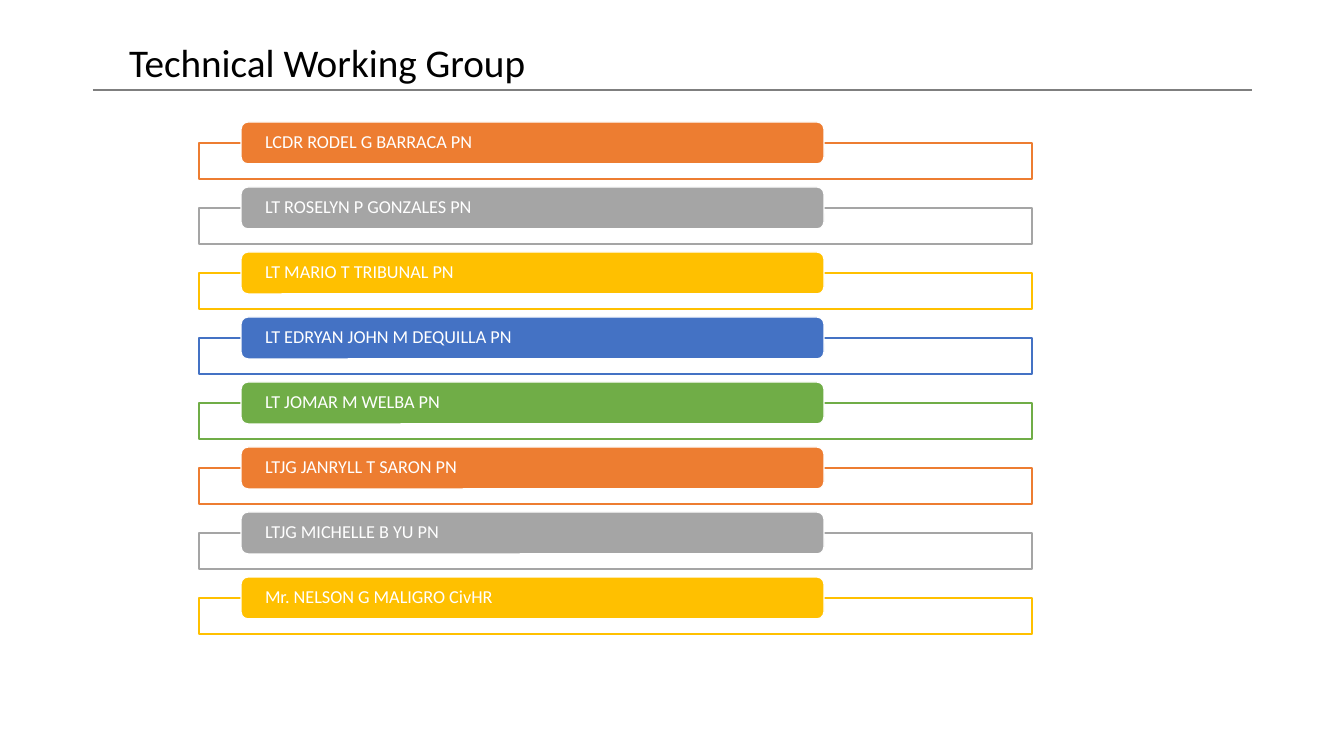
from pptx import Presentation
from pptx.dml.color import RGBColor
from pptx.enum.shapes import MSO_CONNECTOR, MSO_SHAPE
from pptx.enum.text import MSO_ANCHOR, MSO_AUTO_SIZE, PP_ALIGN
from pptx.oxml.ns import qn
from pptx.util import Pt
from lxml.etree import SubElement

TITLE = "Technical Working Group"
MEMBERS = [
    "LCDR RODEL G BARRACA PN",
    "LT ROSELYN P GONZALES PN",
    "LT MARIO T TRIBUNAL PN",
    "LT EDRYAN JOHN M DEQUILLA PN",
    "LT JOMAR M WELBA PN",
    "LTJG JANRYLL T SARON PN",
    "LTJG MICHELLE B YU PN",
    "Mr. NELSON G MALIGRO CivHR",
]
ACCENTS = ["ED7D31", "A5A5A5", "FFC000", "4472C4", "70AD47"]
WHITE, BLACK, GRAY = "FFFFFF", "000000", "7F7F7F"

TOP, PITCH = 122, 65  # first bar and distance between bars, in px


def px(n):
    return round(n * 914400 / 100.8)


def color(code):
    return RGBColor.from_string(code)


def write(shape, text, size, ink, inset=10):
    frame = shape.text_frame
    frame.word_wrap = True
    frame.auto_size = MSO_AUTO_SIZE.NONE
    frame.vertical_anchor = MSO_ANCHOR.MIDDLE
    frame.margin_left = frame.margin_right = px(inset)
    frame.margin_top = frame.margin_bottom = 0
    para = frame.paragraphs[0]
    para.alignment = PP_ALIGN.LEFT
    para.line_spacing = 0.9
    run = para.add_run()
    run.text = text
    run.font.name = "Calibri"
    run.font.size = Pt(size)
    run.font.color.rgb = color(ink)


def box(slide, kind, x, y, w, h, fill, line):
    shape = slide.shapes.add_shape(kind, px(x), px(y), px(w), px(h))
    shape.shadow.inherit = False
    shape.fill.solid()
    shape.fill.fore_color.rgb = color(fill)
    shape.line.color.rgb = color(line)
    shape.line.width = Pt(1)
    return shape


def rule(slide, left, right, y):
    line = slide.shapes.add_connector(
        MSO_CONNECTOR.STRAIGHT, px(left), px(y), px(right), px(y))
    line.line.color.rgb = color(GRAY)
    line.line.width = Pt(1)
    SubElement(line._element.spPr, qn("a:effectLst"))


def main():
    deck = Presentation()
    deck.slide_width, deck.slide_height = px(1344), px(756)
    slide = deck.slides.add_slide(deck.slide_layouts[5])

    rule(slide, 93, 1252, 90)
    title = slide.shapes.title
    title.left, title.top = px(119), px(32)
    title.width, title.height = px(1109), px(66)
    write(title, TITLE, 28, BLACK)

    for i, name in enumerate(MEMBERS):
        accent = ACCENTS[i % len(ACCENTS)]
        y = TOP + i * PITCH
        box(slide, MSO_SHAPE.RECTANGLE, 199, y + 21, 833, 36, WHITE, accent)
        bar = box(slide, MSO_SHAPE.ROUNDED_RECTANGLE, 241, y, 583, 42, accent, WHITE)
        write(bar, name, 13, WHITE, inset=22)

    deck.save("out.pptx")


if __name__ == "__main__":
    main()
